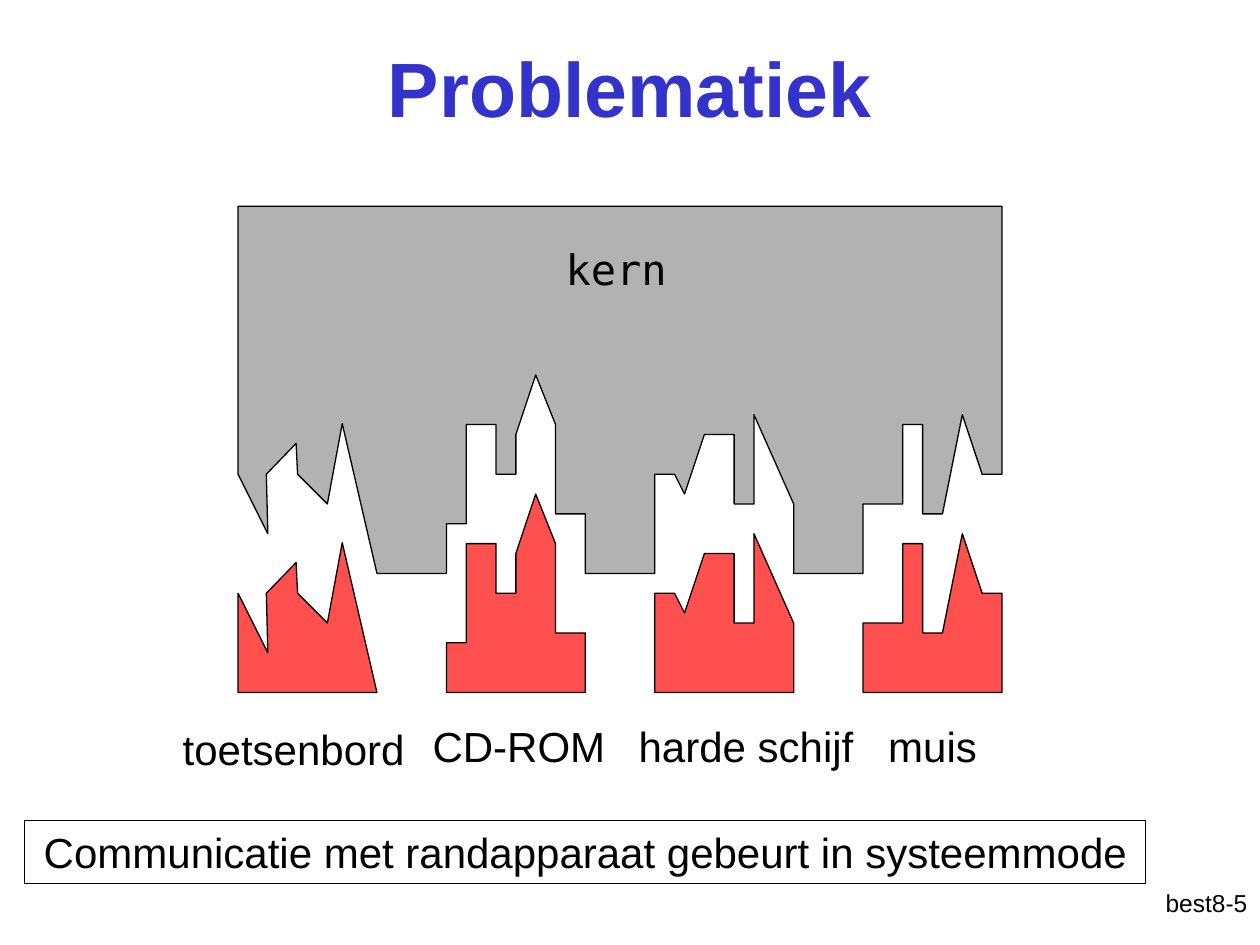
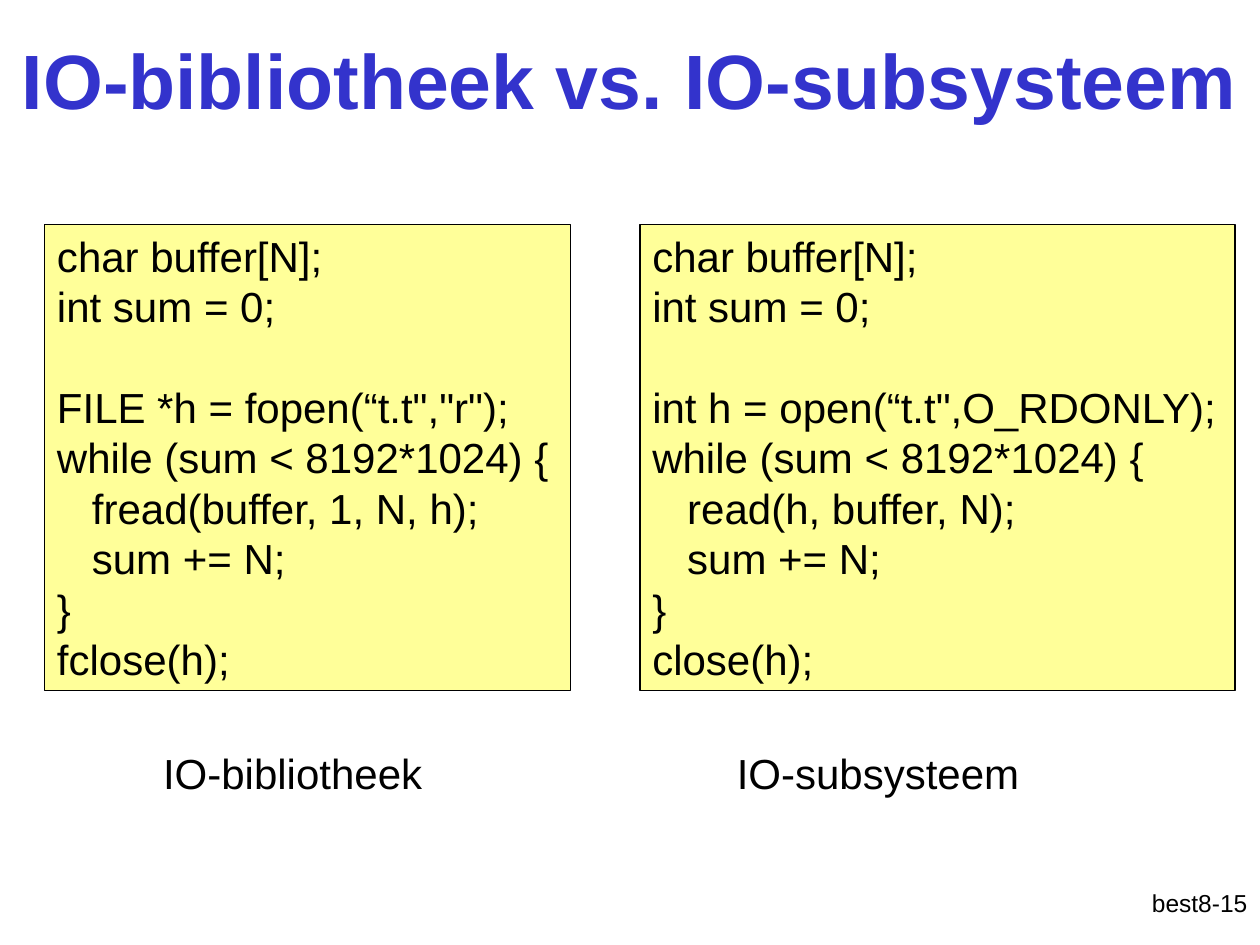
import dataclasses

import pptx
import pptx.dml.color
import pptx.enum.shapes
import pptx.enum.text
import pptx.util

ALIGN = pptx.enum.text.PP_ALIGN
ANCHOR = pptx.enum.text.MSO_ANCHOR
CELL = pptx.util.Mm(2)  # grid of 127 columns by 95.25 rows
COLUMNS = 127
LINE_ROWS = 6.35  # height of a box with one line of body text


@dataclasses.dataclass(frozen=True)
class Theme:
    sans: str = "Arial"
    mono: str = "DejaVu Sans Mono"
    ink: str = "000000"
    title: str = "3333CC"
    kernel: str = "B2B2B2"
    device: str = "FF5050"
    code: str = "FFFF99"
    title_size: float = 44
    body_size: float = 24
    footer_size: float = 14
    code_pitch: float = 28.8
    line_width: float = 0.75


def cells(*values):
    """Convert grid cells to EMU."""
    return [pptx.util.Emu(round(v * CELL)) for v in values]


def rgb(value):
    return pptx.dml.color.RGBColor.from_string(value)


class Deck:
    """The theme, the presentation and the slide being filled."""

    def __init__(self, theme):
        self.theme = theme
        self.prs = pptx.Presentation()
        self.prs.slide_width = pptx.util.Inches(10)
        self.prs.slide_height = pptx.util.Inches(7.5)
        self.s = None

    def slide(self, title, number, title_at):
        self.s = self.prs.slides.add_slide(self.prs.slide_layouts[5])
        sp = self.s.shapes.title
        sp.left, sp.top, sp.width, sp.height = cells(*title_at)
        self.set_text(sp, [title], size=self.theme.title_size,
                      color=self.theme.title, bold=True, anchor=ANCHOR.MIDDLE)
        sp.text_frame.margin_left = sp.text_frame.margin_right = 0
        self.label(f"best8-{number}", 100.6, 88.9, 26.4,
                   size=self.theme.footer_size, align=ALIGN.RIGHT)

    def set_text(self, sp, lines, size=None, color=None, font=None, bold=False,
                 align=ALIGN.CENTER, anchor=ANCHOR.TOP):
        tf = sp.text_frame
        tf.word_wrap = True
        tf.auto_size = pptx.enum.text.MSO_AUTO_SIZE.NONE
        tf.vertical_anchor = anchor
        for i, line in enumerate(lines):
            p = tf.add_paragraph() if i else tf.paragraphs[0]
            p.text = line
            p.alignment = align
            p.font.name = font or self.theme.sans
            p.font.size = pptx.util.Pt(size or self.theme.body_size)
            p.font.bold = bold
            p.font.color.rgb = rgb(color or self.theme.ink)

    def paint(self, sp, fill=None):
        sp.shadow.inherit = False
        if fill:
            sp.fill.solid()
            sp.fill.fore_color.rgb = rgb(fill)
        else:
            sp.fill.background()
        sp.line.color.rgb = rgb(self.theme.ink)
        sp.line.width = pptx.util.Pt(self.theme.line_width)

    def label(self, text, x, y, width, **style):
        sp = self.s.shapes.add_textbox(*cells(x, y, width, LINE_ROWS))
        self.set_text(sp, [text], **style)

    def box(self, lines, x, y, width, height, fill=None, **style):
        sp = self.s.shapes.add_shape(
            pptx.enum.shapes.MSO_SHAPE.RECTANGLE, *cells(x, y, width, height))
        self.paint(sp, fill)
        self.set_text(sp, lines, **style)
        return sp

    def code(self, chunks, x, width):
        """Show a listing whose chunks are one line apart."""
        lines = [line for chunk in chunks for line in chunk]
        sp = self.box(lines, x, 22.6, width, 47, self.theme.code,
                      align=ALIGN.LEFT)
        pitch = pptx.util.Pt(self.theme.code_pitch)
        paragraphs = sp.text_frame.paragraphs
        for p in paragraphs:
            p.line_spacing = pitch
        start = 0
        for chunk in chunks[:-1]:
            start += len(chunk)
            paragraphs[start].space_before = pitch

    def outline(self, points, fill):
        points = [cells(*point) for point in points]
        builder = self.s.shapes.build_freeform(*points[0])
        builder.add_line_segments(points[1:], close=True)
        self.paint(builder.convert_to_shape(), fill)


# Device profiles as (column, height), from left foot to right foot.
KEYBOARD = [(0, 0), (0, 10), (3, 4), (2.85, 10), (5.85, 13.1), (6, 10),
            (9, 7), (10.5, 15.1), (14, 0)]
CD_ROM = [(0, 0), (0, 5), (2, 5), (2, 15), (5, 15), (5, 10), (7, 10),
          (7, 14), (9, 20), (11, 15), (11, 6), (14, 6), (14, 0)]
HARD_DISK = [(0, 0), (0, 10), (2, 10), (3, 8), (5, 14), (8, 14), (8, 7),
             (10, 7), (10, 16), (14, 7), (14, 0)]
MOUSE = [(0, 0), (0, 7), (4, 7), (4, 15), (6, 15), (6, 6), (8, 6),
         (10, 16), (12, 10), (14, 10), (14, 0)]


def problem_slide(deck):
    left, ground, step, device_width = 24, 69.8, 21, 14
    kernel_top, gap = 20.8, 12
    deck.slide("Problematiek", 5, (9.5, 0.8, 108, 15.9))

    devices = [[(left + i * step + x, ground - h) for x, h in profile]
               for i, profile in enumerate(
                   [KEYBOARD, CD_ROM, HARD_DISK, MOUSE])]
    # The kernel's lower edge follows the devices, raised by the gap.
    edge = [(x, y - gap) for device in devices for x, y in device][1:-1]
    right = left + 3 * step + device_width
    deck.outline([(left, kernel_top), (right, kernel_top), *reversed(edge)],
                 deck.theme.kernel)
    for device in devices:
        deck.outline(device, deck.theme.device)

    deck.label("kern", 47.1, 23.9, 30, font=deck.theme.mono)
    for name, x, y in [("toetsenbord", 17.1, 72.3), ("CD-ROM", 39.8, 72),
                       ("harde schijf", 62.7, 72), ("muis", 81.5, 72)]:
        deck.label(name, x, y, 25)
    deck.box(["Communicatie met randapparaat gebeurt in systeemmode"],
             2.5, 82.7, 113, LINE_ROWS)


def comparison_slide(deck):
    deck.slide("IO-bibliotheek vs. IO-subsysteem", 15, (0, 0, COLUMNS, 15.9))
    declarations = ["char buffer[N];", "int sum = 0;"]
    for opening, reading, closing, x, width in [
            ('FILE *h = fopen(“t.t","r");', "fread(buffer, 1, N, h);",
             "fclose(h);", 4.5, 53),
            ('int h = open(“t.t",O_RDONLY);', "read(h, buffer, N);",
             "close(h);", 64.5, 60)]:
        loop = [opening, "while (sum < 8192*1024) {", "   " + reading,
                "   sum += N;", "}", closing]
        deck.code([declarations, loop], x, width)
    for caption, x in [("IO-bibliotheek", 9.5), ("IO-subsysteem", 68.5)]:
        deck.label(caption, x, 74.7, 40)


def main():
    deck = Deck(Theme())
    problem_slide(deck)
    comparison_slide(deck)
    deck.prs.save("out.pptx")


if __name__ == "__main__":
    main()
